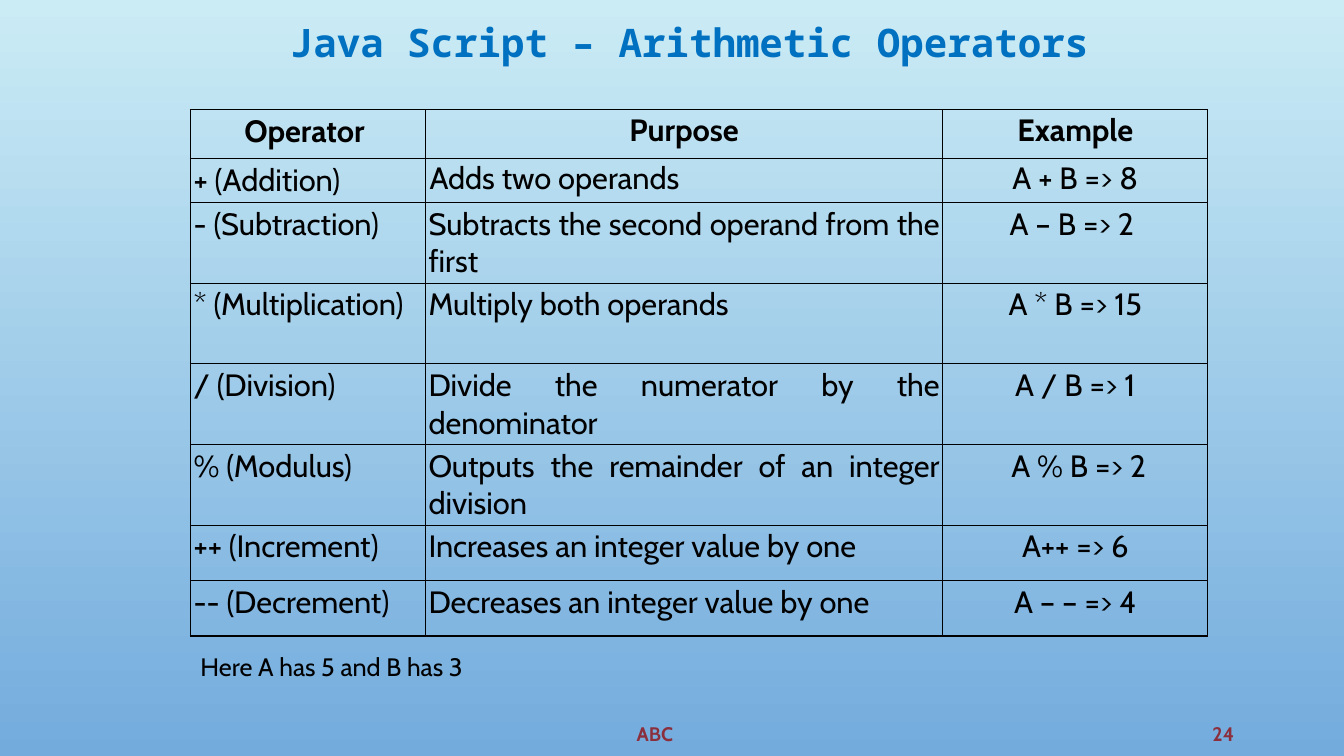
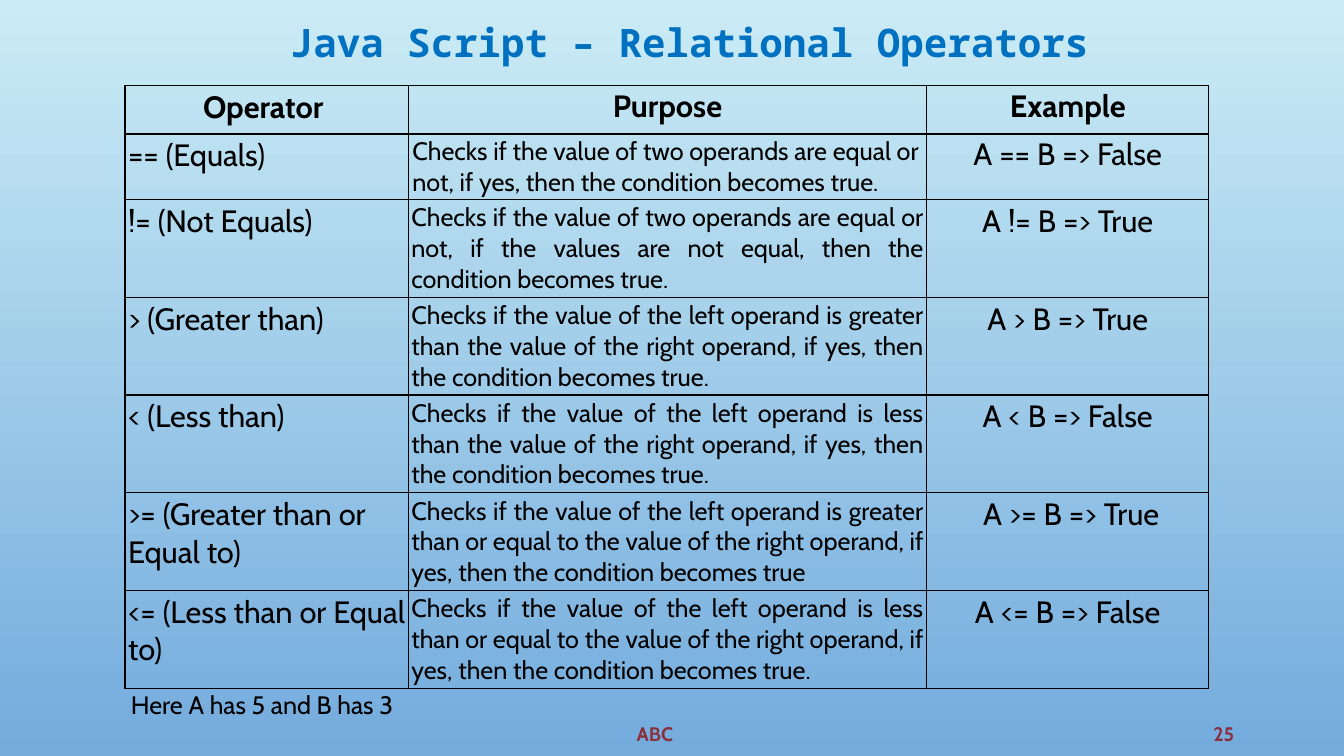
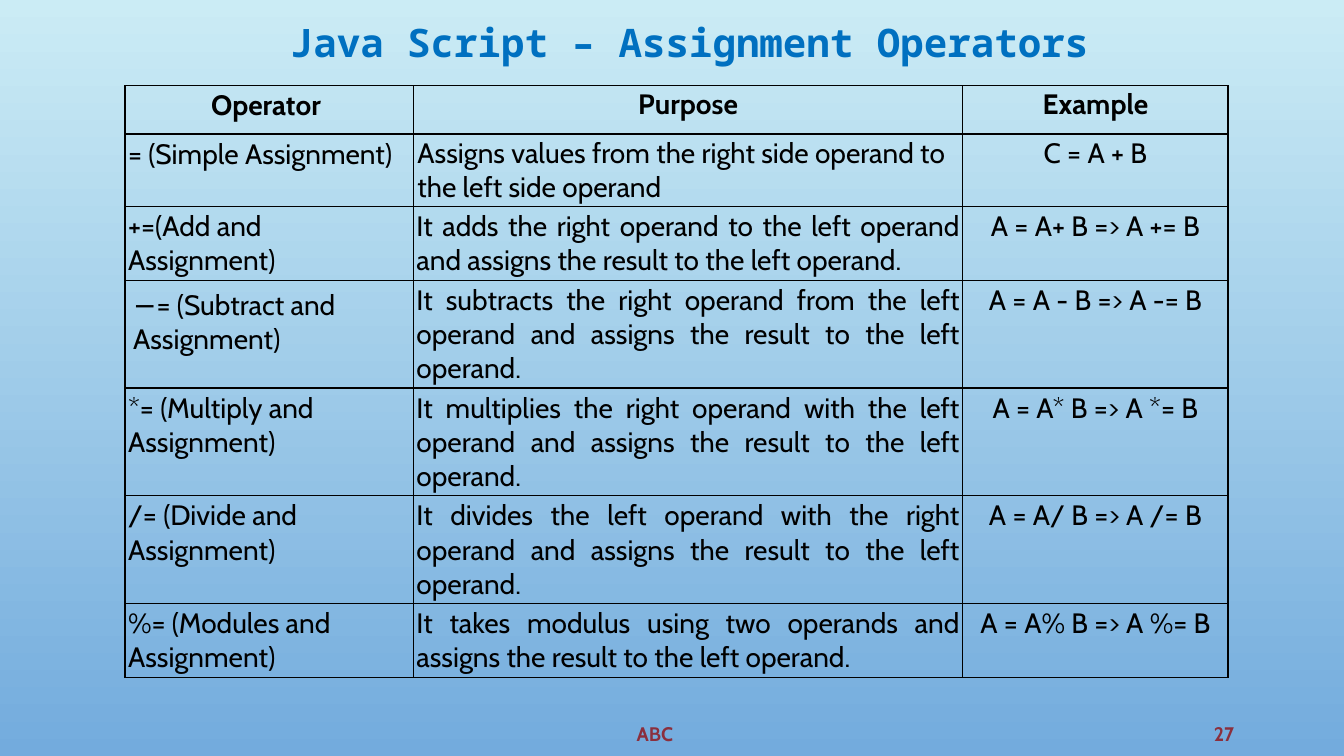
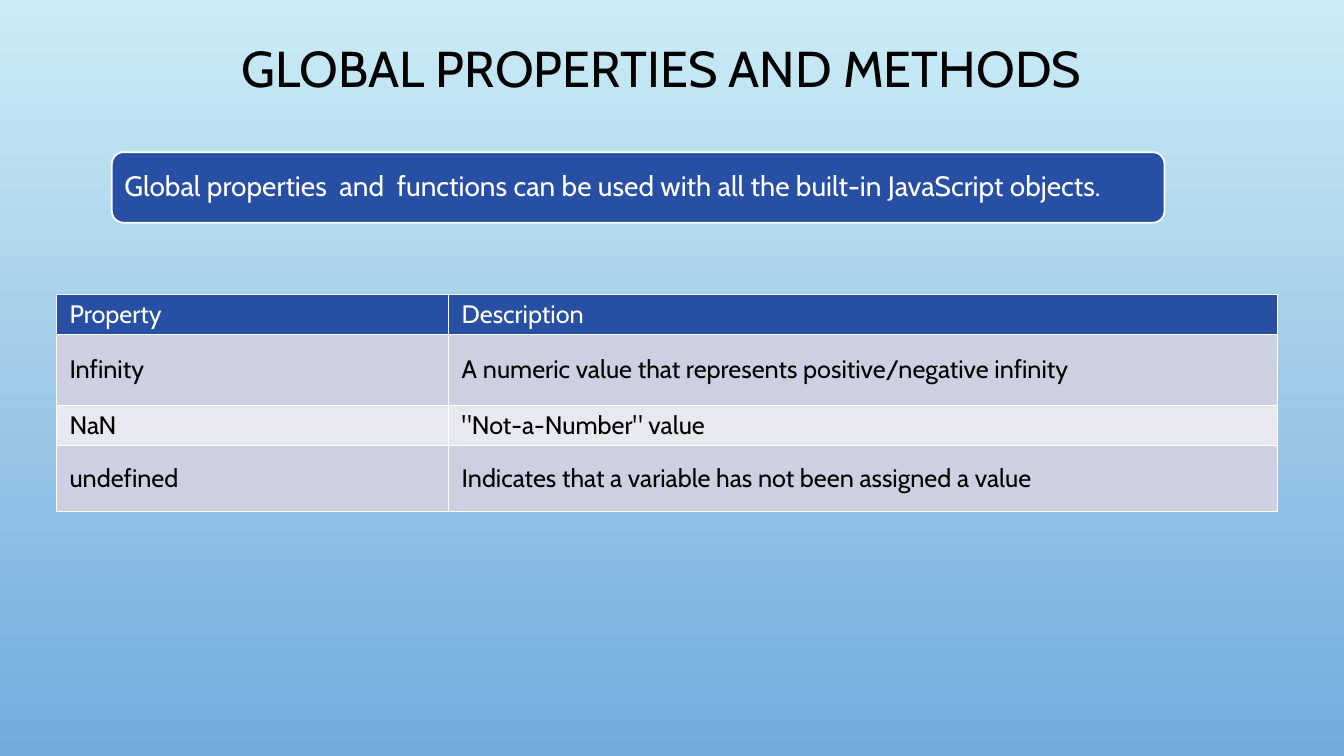
from pptx import Presentation
from pptx.dml.color import RGBColor
from pptx.enum import shapes, text
from pptx.oxml import parse_xml
from pptx.oxml.ns import nsdecls
from pptx.util import Inches, Pt

SKY = RGBColor(0xCB, 0xEC, 0xF5)
DUSK = RGBColor(0x73, 0xAB, 0xDD)
TITLE_BLUE = RGBColor(0x00, 0x70, 0xC0)
MAROON = RGBColor(0x8B, 0x2F, 0x3D)
NAVY = RGBColor(0x27, 0x4F, 0xA4)
BAND_DARK = RGBColor(0xCD, 0xD0, 0xE0)
BAND_LIGHT = RGBColor(0xE8, 0xE9, 0xF0)
BLACK = RGBColor(0, 0, 0)
WHITE = RGBColor(0xFF, 0xFF, 0xFF)

BODY_FONT, CODE_FONT = "Cabin", "Noto Sans Mono"
LEFT, CENTER, RIGHT, JUSTIFY = (text.PP_ALIGN.LEFT, text.PP_ALIGN.CENTER,
                                text.PP_ALIGN.RIGHT, text.PP_ALIGN.JUSTIFY)
TOP, MIDDLE = text.MSO_ANCHOR.TOP, text.MSO_ANCHOR.MIDDLE

HEADER = ("Operator ", "Purpose", "Example")
OPERANDS = "Here A has 5 and B has 3"

ARITHMETIC = [
    HEADER,
    ("+ (Addition)", "Adds two operands", "A + B => 8"),
    ("- (Subtraction)", "Subtracts the second operand from the first", "A – B => 2 "),
    ("* (Multiplication)", "Multiply both operands", "A * B => 15"),
    ("/ (Division)", "Divide the numerator by the denominator", "A / B => 1"),
    ("% (Modulus)", "Outputs the remainder of an integer division", " A % B => 2"),
    ("++ (Increment)", "Increases an integer value by one", "A++ => 6"),
    ("-- (Decrement)", "Decreases an integer value by one", "A – – => 4"),
]
RELATIONAL = [
    HEADER,
    ("== (Equals)",
     "Checks if the value of two operands are equal or not, if yes, "
     "then the condition becomes true.", "A == B => False"),
    ("!= (Not Equals)",
     "Checks if the value of two operands are equal or not, if the values "
     "are not equal, then the condition becomes true.", "A != B => True"),
    ("> (Greater than)",
     "Checks if the value of the left operand is greater than the value of "
     "the right operand, if yes, then the condition becomes true.", "A > B => True"),
    ("< (Less than)",
     "Checks if the value of the left operand is less than the value of "
     "the right operand, if yes, then the condition becomes true.", "A < B => False"),
    (">= (Greater than or Equal to)",
     "Checks if the value of the left operand is greater than or equal to the value "
     "of the right operand, if yes, then the condition becomes true", " A >= B => True"),
    ("<= (Less than or Equal to)",
     "Checks if the value of the left operand is less than or equal to the value "
     "of the right operand, if yes, then the condition becomes true.", "A <= B => False"),
]
ASSIGNMENT = [
    HEADER,
    ("= (Simple Assignment)",
     "Assigns values from the right side operand to the left side operand", "C = A + B"),
    ("+=(Add and Assignment)",
     "It adds the right operand to the left operand and assigns the result "
     "to the left operand.", "A = A+ B => A += B"),
    ("−= (Subtract and Assignment)",
     "It subtracts the right operand from the left operand and assigns the result "
     "to the left operand.", "A = A - B => A -= B"),
    ("*= (Multiply and Assignment)",
     "It multiplies the right operand with the left operand and assigns the result "
     "to the left operand.", "A = A* B => A *= B"),
    ("/= (Divide and Assignment)",
     "It divides the left operand with the right operand and assigns the result "
     "to the left operand.", "A = A/ B => A /= B"),
    ("%= (Modules and Assignment)",
     "It takes modulus using two operands and assigns the result to the left operand.",
     "A = A% B => A %= B"),
]
PROPERTIES = [
    ("Property", "Description"),
    ("Infinity", "A numeric value that represents positive/negative infinity"),
    ("NaN", "\"Not-a-Number\" value"),
    ("undefined", "Indicates that a variable has not been assigned a value"),
]


def write(tf, txt, size=18, font=BODY_FONT, color=BLACK, bold=False, align=LEFT, spacing=None):
    p = tf.paragraphs[0]
    p.alignment = align
    if spacing:
        p.line_spacing = spacing
    r = p.add_run()
    r.text = txt
    r.font.size, r.font.name, r.font.bold = Pt(size), font, bold
    r.font.color.rgb = color


def add_text(s, box, txt, anchor=TOP, **fmt):
    tf = s.shapes.add_textbox(*map(Inches, box)).text_frame
    tf.word_wrap = True
    tf.vertical_anchor = anchor
    write(tf, txt, **fmt)


def add_grid(s, at, cols, rows):
    """Add an unstyled table with the given column widths and row heights."""
    frame = s.shapes.add_table(len(rows), len(cols), *map(Inches, (*at, sum(cols), sum(rows))))
    table = frame.table
    table.first_row = table.horz_banding = False
    for column, width in zip(table.columns, cols):
        column.width = Inches(width)
    for row, height in zip(table.rows, rows):
        row.height = Inches(height)
    return table


def fill_cell(cell, txt, inset, border, fill=None, anchor=TOP, **fmt):
    """Write a cell; inset is its (horizontal, vertical) margin."""
    cell.margin_left = cell.margin_right = Inches(inset[0])
    cell.margin_top = cell.margin_bottom = Inches(inset[1])
    cell.vertical_anchor = anchor
    if fill is None:
        cell.fill.background()
    else:
        cell.fill.solid()
        cell.fill.fore_color.rgb = fill
    props = cell._tc.get_or_add_tcPr()
    for i, side in enumerate("LRTB"):
        props.insert(i, parse_xml(
            f'<a:ln{side} {nsdecls("a")} w="{Pt(1)}"><a:solidFill>'
            f'<a:srgbClr val="{border}"/></a:solidFill></a:ln{side}>'))
    write(cell.text_frame, txt, **fmt)


def operator_table(s, at, cols, rows, data, size, purpose_size):
    table = add_grid(s, at, cols, rows)
    for i, record in enumerate(data):
        aligns = (LEFT, LEFT if i == 1 else JUSTIFY, CENTER)
        for j, txt in enumerate(record):
            inset = (0.04, 0.02) if i < 2 and j else (0.03, 0.03)
            if txt.startswith("−="):
                inset = (0.08, 0.08)
            fill_cell(table.cell(i, j), txt, inset, BLACK,
                      size=purpose_size if i and j == 1 else size,
                      bold=i == 0, align=aligns[j] if i else CENTER)


def property_table(s, at, cols, rows):
    table = add_grid(s, at, cols, rows)
    for i, record in enumerate(PROPERTIES):
        fill = (BAND_DARK if i % 2 else BAND_LIGHT) if i else NAVY
        for j, txt in enumerate(record):
            fill_cell(table.cell(i, j), txt, (0.13, 0.05), WHITE, fill,
                      MIDDLE if i else TOP, color=BLACK if i else WHITE)


def banner(s, box, txt):
    sp = s.shapes.add_shape(shapes.MSO_SHAPE.ROUNDED_RECTANGLE, *map(Inches, box))
    sp.shadow.inherit = False
    sp.fill.solid()
    sp.fill.fore_color.rgb = NAVY
    sp.line.color.rgb = WHITE
    sp.line.width = Pt(1.25)
    tf = sp.text_frame
    tf.word_wrap = True
    tf.vertical_anchor = MIDDLE
    tf.margin_left = tf.margin_right = Inches(0.09)
    write(tf, txt, size=20, color=WHITE, spacing=0.9)


def footer(s, number):
    style = dict(anchor=MIDDLE, size=14, color=MAROON, bold=True)
    add_text(s, (1, 7.08, 10.99, 0.4), "ABC", align=CENTER, **style)
    add_text(s, (11.5, 7.08, 0.84, 0.4), str(number), align=RIGHT, **style)


def new_slide(prs):
    return prs.slides.add_slide(prs.slide_layouts[6])


def operator_slide(prs, kind, number, at, cols, rows, data, size=22, purpose_size=22, note_at=None):
    s = new_slide(prs)
    add_text(s, (1.69, 0.13, 10.29, 0.57), f"Java Script – {kind} Operators",
             size=28, font=CODE_FONT, color=TITLE_BLUE, bold=True, align=CENTER)
    footer(s, number)
    operator_table(s, at, cols, rows, data, size, purpose_size)
    if note_at:
        add_text(s, (*note_at, 10.26, 0.4), OPERANDS)


def properties_slide(prs):
    s = new_slide(prs)
    add_text(s, (0.56, 0.33, 12, 0.75), "GLOBAL PROPERTIES AND METHODS", MIDDLE,
             size=36, align=CENTER, spacing=0.9)
    property_table(s, (0.56, 2.92), (3.89, 8.22), (0.4, 0.7, 0.4, 0.65))
    banner(s, (1.11, 1.51, 10.44, 0.7),
           "Global properties  and  functions can be used with all the built-in JavaScript objects.")


def set_background(master):
    fill = master.background.fill
    fill.gradient()
    fill.gradient_angle = 270
    for stop, color, position in zip(fill.gradient_stops, (SKY, DUSK), (0, 1)):
        stop.color.rgb = color
        stop.position = position


def main():
    prs = Presentation()
    prs.slide_width, prs.slide_height = Inches(13.33), Inches(7.5)
    set_background(prs.slide_master)
    operator_slide(prs, "Arithmetic", 24, (1.89, 1.09), (2.33, 5.13, 2.63),
                   [0.48, 0.44] + [0.8] * 4 + [0.55] * 2, ARITHMETIC, note_at=(1.89, 6.41))
    operator_slide(prs, "Relational", 25, (1.24, 0.85), (2.81, 5.14, 2.8),
                   [0.48, 0.65] + [0.97] * 5, RELATIONAL, purpose_size=18, note_at=(1.2, 6.79))
    operator_slide(prs, "Assignment", 27, (1.24, 0.85), (2.86, 5.45, 2.63),
                   [0.48, 0.72, 0.73] + [1.07] * 3 + [0.73], ASSIGNMENT, size=20, purpose_size=20)
    properties_slide(prs)
    prs.save("out.pptx")


if __name__ == "__main__":
    main()
